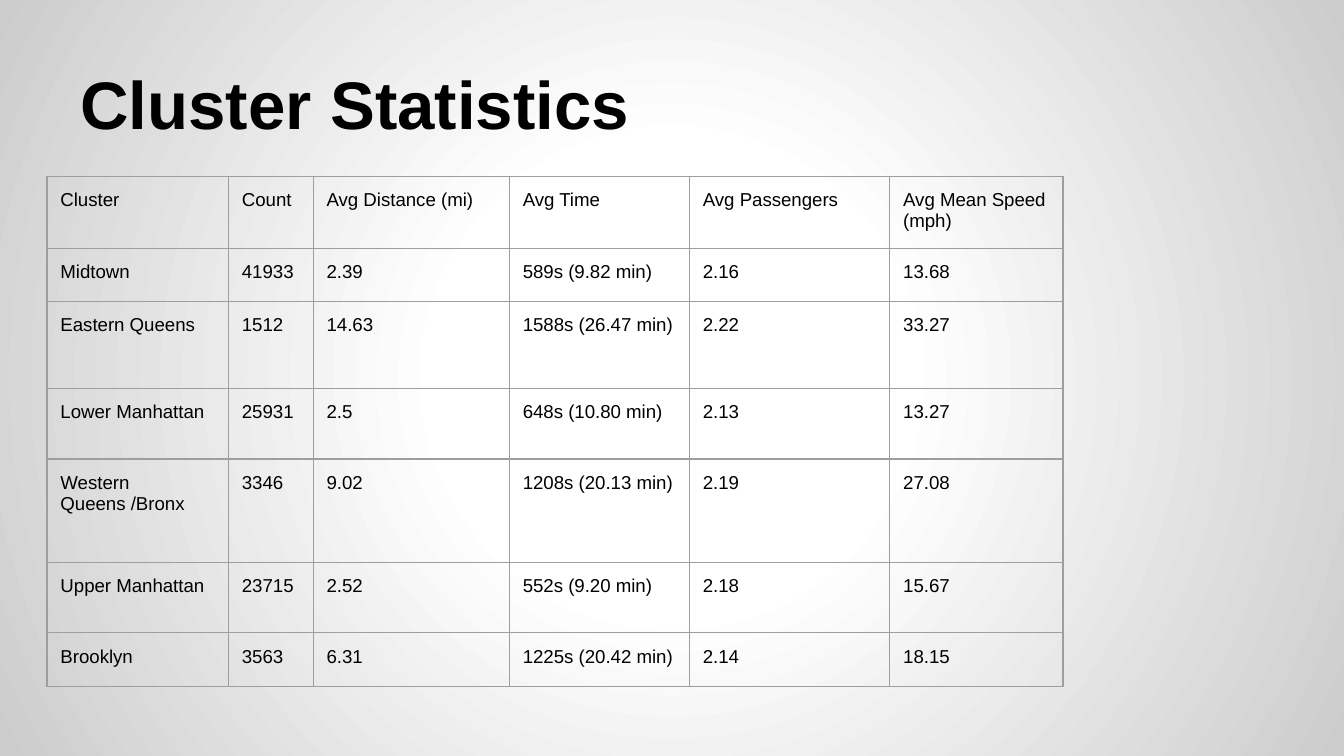
from lxml.etree import fromstring
from pptx import Presentation
from pptx.dml.color import RGBColor
from pptx.enum.text import MSO_ANCHOR
from pptx.oxml.ns import nsdecls, qn
from pptx.util import Pt

COLORS = {"text": "000000", "border": "9E9E9E", "center": "FFFFFF", "edge": "CCCCCC"}
COLUMN_WIDTHS = [97.2, 45.4, 105.1, 96.5, 107.3, 92.8]
ROW_HEIGHTS = [36.8, 28.5, 46.7, 37.8, 55.3, 37.8, 28.8]
STATISTICS = [
    ["Cluster", "Count", "Avg Distance (mi)", "Avg Time", "Avg Passengers", "Avg Mean Speed (mph)"],
    ["Midtown", "41933", "2.39", "589s (9.82 min)", "2.16", "13.68"],
    ["Eastern Queens", "1512", "14.63", "1588s (26.47 min)", "2.22", "33.27"],
    ["Lower Manhattan", "25931", "2.5", "648s (10.80 min)", "2.13", "13.27"],
    ["Western Queens /Bronx", "3346", "9.02", "1208s (20.13 min)", "2.19", "27.08"],
    ["Upper Manhattan", "23715", "2.52", "552s (9.20 min)", "2.18", "15.67"],
    ["Brooklyn", "3563", "6.31", "1225s (20.42 min)", "2.14", "18.15"],
]


class SlideBuilder:
    """Holds the style and the current slide, and adds each kind of element."""

    font = "Arial"
    inset = Pt(7.2)

    def __init__(self, slide):
        self.slide = slide

    def background(self, stops):
        fill = self.slide.background.fill
        fill.solid()
        solid = self.slide.element.find(".//" + qn("a:solidFill"))
        marks = "".join(
            f'<a:gs pos="{percent * 1000}"><a:srgbClr val="{COLORS[color]}"/></a:gs>'
            for percent, color in stops
        )
        gradient = fromstring(
            f'<a:gradFill {nsdecls("a")}><a:gsLst>{marks}</a:gsLst><a:path path="circle">'
            '<a:fillToRect l="50000" t="50000" r="50000" b="50000"/></a:path></a:gradFill>'
        )
        solid.getparent().replace(solid, gradient)

    def add_text(self, frame, wording, size, bold=False):
        run = frame.paragraphs[0].add_run()
        run.text = wording
        run.font.name = self.font
        run.font.size = Pt(size)
        run.font.bold = bold
        run.font.color.rgb = RGBColor.from_string(COLORS["text"])

    def set_insets(self, holder):
        holder.margin_left = holder.margin_right = self.inset
        holder.margin_top = holder.margin_bottom = self.inset

    def title(self, wording, left, top, width, height):
        frame = self.slide.shapes.add_textbox(Pt(left), Pt(top), Pt(width), Pt(height)).text_frame
        frame.word_wrap = True
        frame.vertical_anchor = MSO_ANCHOR.BOTTOM
        self.set_insets(frame)
        self.add_text(frame, wording, 36, bold=True)

    def cell(self, cell, wording):
        self.set_insets(cell)
        cell.fill.background()
        self.add_text(cell.text_frame, wording, 10)
        properties = cell._tc.get_or_add_tcPr()
        for position, side in enumerate(("lnL", "lnR", "lnT", "lnB")):
            border = fromstring(
                f'<a:{side} {nsdecls("a")} w="{Pt(0.75)}"><a:solidFill>'
                f'<a:srgbClr val="{COLORS["border"]}"/></a:solidFill></a:{side}>'
            )
            properties.insert(position, border)

    def table(self, rows, left, top, widths, heights):
        table = self.slide.shapes.add_table(
            len(rows), len(widths), Pt(left), Pt(top), Pt(sum(widths)), Pt(sum(heights))
        ).table
        table.first_row = table.horz_banding = False
        for column, width in zip(table.columns, widths):
            column.width = Pt(width)
        for row, height, wordings in zip(table.rows, heights, rows):
            row.height = Pt(height)
            for cell, wording in zip(row.cells, wordings):
                self.cell(cell, wording)


def main():
    deck = Presentation()
    deck.slide_width, deck.slide_height = Pt(720), Pt(405)
    builder = SlideBuilder(deck.slides.add_slide(deck.slide_layouts[6]))
    builder.background([(0, "center"), (30, "center"), (100, "edge")])
    builder.title("Cluster Statistics", 36, 16.2, 648, 67.5)
    builder.table(STATISTICS, 25.2, 94.5, COLUMN_WIDTHS, ROW_HEIGHTS)
    deck.save("out.pptx")


if __name__ == "__main__":
    main()
